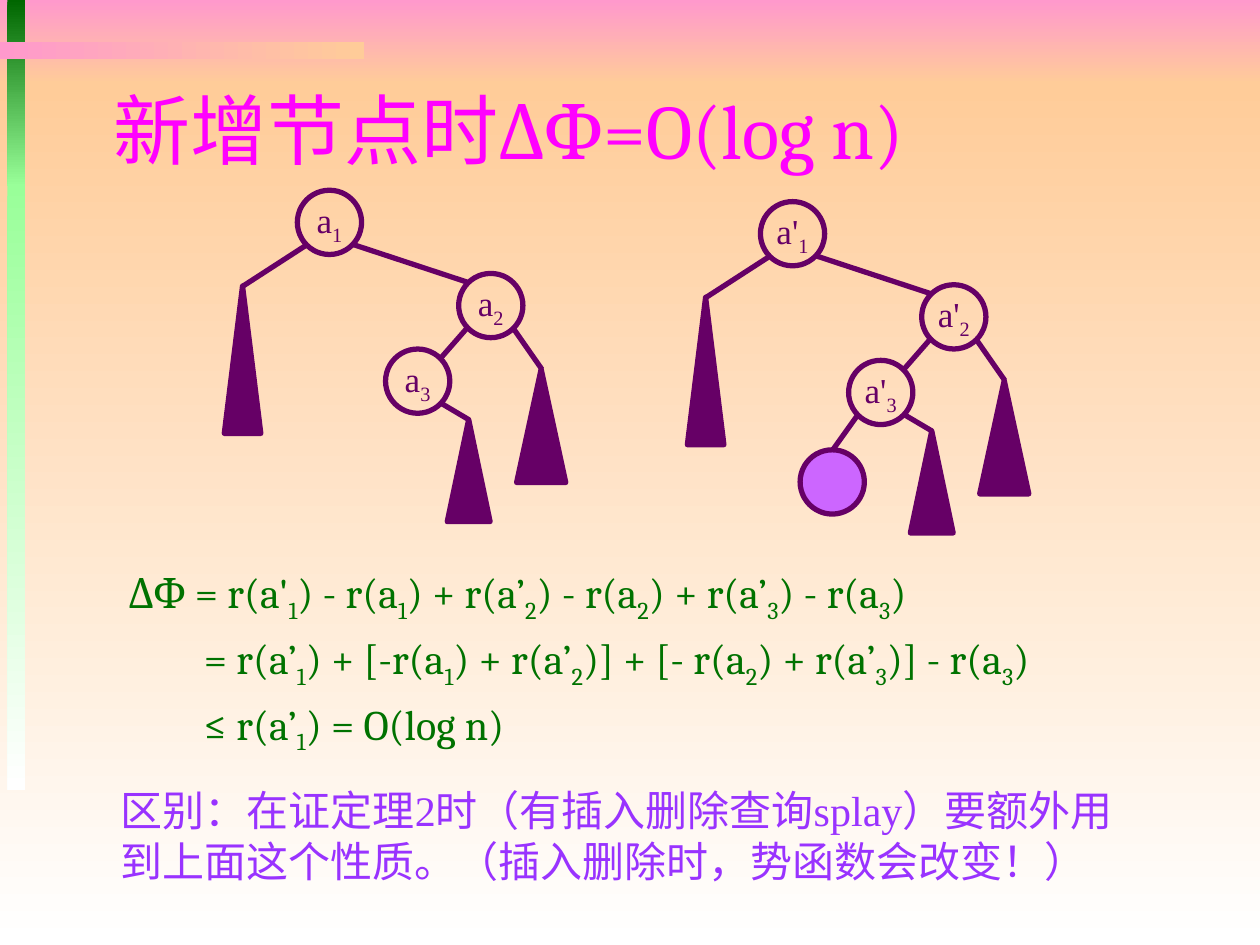
import pptx
import pptx.dml.color
import pptx.enum.shapes
import pptx.enum.text
import pptx.oxml.ns
import pptx.util
from lxml import etree

PINK = pptx.dml.color.RGBColor(0xFF, 0x99, 0xCC)
PEACH = pptx.dml.color.RGBColor(0xFF, 0xCC, 0x99)
WHITE = pptx.dml.color.RGBColor(0xFF, 0xFF, 0xFF)
DARK_GREEN = pptx.dml.color.RGBColor(0x00, 0x66, 0x00)
LIGHT_GREEN = pptx.dml.color.RGBColor(0x99, 0xFF, 0x99)
MAGENTA = pptx.dml.color.RGBColor(0xFF, 0x00, 0xFF)
FORMULA_GREEN = pptx.dml.color.RGBColor(0x00, 0x72, 0x00)
PURPLE = pptx.dml.color.RGBColor(0x66, 0x00, 0x66)
LILAC = pptx.dml.color.RGBColor(0xCC, 0x66, 0xFF)
VIOLET = pptx.dml.color.RGBColor(0x99, 0x33, 0xFF)

deck = pptx.Presentation()
deck.slide_width = pptx.util.Inches(10)
deck.slide_height = pptx.util.Inches(7.5)
page = deck.slides.add_slide(deck.slide_layouts[6])
COLUMN = deck.slide_width / 100
ROW = deck.slide_height / 75


def grid(*places):
    return [pptx.util.Emu(round(place * unit)) for place, unit in zip(places, (COLUMN, ROW) * 2)]


def write(para, text, font, size, color):
    for index, part in enumerate(text.split("_")):
        pieces = [(part, False)] if index == 0 else [(part[0], True), (part[1:], False)]
        for piece, lowered in pieces:
            if piece:
                span = para.add_run()
                span.text = piece
                span.font.name = font
                span.font.size = pptx.util.Pt(size)
                span.font.color.rgb = color
                if lowered:
                    span.font._element.set("baseline", "-25000")


bands = [
    ((0, 0, 100, 6.7), PINK, PEACH, 270),
    ((0, 6.7, 100, 68.3), PEACH, WHITE, 270),
    ((0.6, 0, 1.4, 14.8), DARK_GREEN, LIGHT_GREEN, 270),
    ((0.6, 14.6, 1.4, 48.1), LIGHT_GREEN, WHITE, 270),
    ((0, 3.3, 28.9, 1.4), PINK, PEACH, 0),
]
for area, start, end, angle in bands:
    band = page.shapes.add_shape(pptx.enum.shapes.MSO_SHAPE.RECTANGLE, *grid(*area))
    band.shadow.inherit = False
    band.line.fill.background()
    band.fill.gradient()
    band.fill.gradient_angle = angle
    for stop, color in zip(band.fill.gradient_stops, (start, end)):
        stop.color.rgb = color

TOP = pptx.enum.text.MSO_ANCHOR.TOP
MIDDLE = pptx.enum.text.MSO_ANCHOR.MIDDLE
texts = [
    ((8, 5.7, 85, 9), MIDDLE, "Cambria", 44, MAGENTA, ["新增节点时ΔΦ=O(log n)"]),
    ((9.2, 44.5, 81.2, 15.6), TOP, "Cambria", 24, FORMULA_GREEN, [
        "ΔΦ = r(a'_1) - r(a_1) + r(a’_2) - r(a_2) + r(a’_3) - r(a_3)",
        "= r(a’_1) + [-r(a_1) + r(a’_2)] + [- r(a_2) + r(a’_3)] - r(a_3)",
        "≤ r(a’_1) = O(log n)",
    ]),
    ((8.6, 61.8, 83.8, 9.1), TOP, "Times New Roman", 24, VIOLET, [
        "区别：在证定理2时（有插入删除查询splay）要额外用到上面这个性质。（插入删除时，势函数会改变！）",
    ]),
]
for area, anchor, font, size, color, lines in texts:
    box = page.shapes.add_textbox(*grid(*area))
    box.text_frame.word_wrap = True
    box.text_frame.vertical_anchor = anchor
    for index, line in enumerate(lines):
        para = box.text_frame.paragraphs[0] if index == 0 else box.text_frame.add_paragraph()
        if index:
            para.space_before = pptx.util.Pt(size * 0.2)
            para._p.get_or_add_pPr().set("marL", str(round(6 * COLUMN)))
        write(para, line, font, size, color)

NODE = 5.1
nodes = [(23.6, 15.1), (36.4, 21.7), (30.6, 27.7)]
subtrees = [(17.8, 22.7, 2.9, 11.7), (35.5, 33.3, 3.4, 8.1), (41, 29.3, 3.9, 9)]
edges = [
    (28, 19.4, 37.1, 22.4), (37.1, 26, 35, 28.4), (24.4, 19.4, 19.3, 22.7),
    (37.2, 33.3, 35, 32), (43, 29.3, 40.7, 26),
]
new_node = (26.75, 34.8)
new_edge = (31.35, 32, 29.35, 34.8)
trees = [
    ("a", 0, 0, [], []),
    ("a'", 36.75, 0.9, [new_node], [new_edge]),
]
for name, right, down, added_nodes, added_edges in trees:
    tree = page.shapes.add_group_shape()
    outlined = []
    for index, (x, y) in enumerate(nodes + added_nodes, 1):
        node = tree.shapes.add_shape(
            pptx.enum.shapes.MSO_SHAPE.OVAL, *grid(x + right, y + down, NODE, NODE))
        node.shadow.inherit = False
        outlined.append(node)
        if index > len(nodes):
            node.fill.solid()
            node.fill.fore_color.rgb = LILAC
            continue
        node.fill.background()
        node.text_frame.word_wrap = False
        node.text_frame.vertical_anchor = MIDDLE
        para = node.text_frame.paragraphs[0]
        para.alignment = pptx.enum.text.PP_ALIGN.CENTER
        write(para, f"{name}_{index}", "Times New Roman", 20, PURPLE)
    for x1, y1, x2, y2 in edges + added_edges:
        edge = tree.shapes.add_connector(
            pptx.enum.shapes.MSO_CONNECTOR.STRAIGHT,
            *grid(x1 + right, y1 + down, x2 + right, y2 + down))
        outlined.append(edge)
    for x, y, width, height in subtrees:
        subtree = tree.shapes.add_shape(
            pptx.enum.shapes.MSO_SHAPE.ISOSCELES_TRIANGLE,
            *grid(x + right, y + down, width, height))
        subtree.shadow.inherit = False
        subtree.fill.solid()
        subtree.fill.fore_color.rgb = PURPLE
        outlined.append(subtree)
    for shape in outlined:
        shape.line.color.rgb = PURPLE
        shape.line.width = pptx.util.Pt(3)
        properties = shape._element.spPr
        etree.SubElement(properties.find(pptx.oxml.ns.qn("a:ln")), pptx.oxml.ns.qn("a:round"))
        if properties.find(pptx.oxml.ns.qn("a:effectLst")) is None:
            etree.SubElement(properties, pptx.oxml.ns.qn("a:effectLst"))

deck.save("out.pptx")
